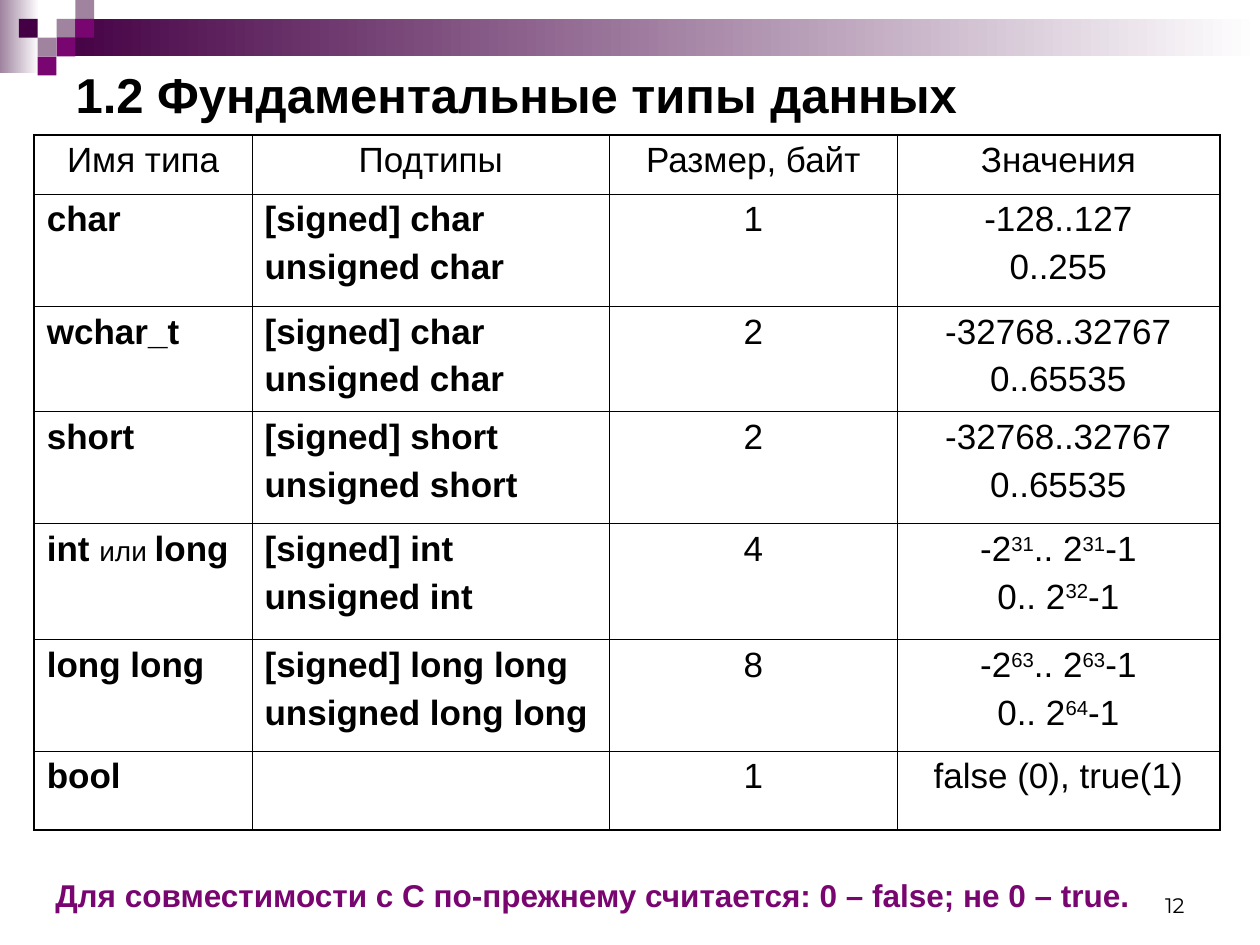
from lxml import etree
from pptx import Presentation
from pptx import util as u
from pptx.dml.color import RGBColor
from pptx.enum import shapes, text
from pptx.oxml.ns import qn

BLACK = RGBColor(0x00, 0x00, 0x00)
WHITE = RGBColor(0xFF, 0xFF, 0xFF)
MAUVE = RGBColor(0x9F, 0x83, 0x9F)
PURPLE = RGBColor(0x79, 0x05, 0x71)
DARK = RGBColor(0x44, 0x00, 0x44)

THIN, THICK = u.Pt(0.45), u.Pt(1.08)
SQUARE = 0.38

# Text between ^ marks is a superscript, or a small word in the first column.
ROWS = [
    (1.19, ["Имя типа"], ["Подтипы"], ["Размер, байт"], ["Значения"]),
    (2.26, ["char"], ["[signed] char", "unsigned char"], ["1"],
     ["-128..127", "0..255"]),
    (2.13, ["wchar_t"], ["[signed] char", "unsigned char"], ["2"],
     ["-32768..32767", "0..65535"]),
    (2.26, ["short"], ["[signed] short", "unsigned short"], ["2"],
     ["-32768..32767", "0..65535"]),
    (2.34, ["int ^или ^long"], ["[signed] int", "unsigned int"], ["4"],
     ["-2^31^.. 2^31^-1", "0.. 2^32^-1"]),
    (2.24, ["long long"], ["[signed] long long", "unsigned long long"], ["8"],
     ["-2^63^.. 2^63^-1", "0.. 2^64^-1"]),
    (1.6, ["bool"], [], ["1"], ["false (0), true(1)"]),
]
COLUMN_WIDTHS = [4.39, 7.21, 5.79, 6.51]


def add_run(paragraph, words, size, color=BLACK, bold=False, name="Arial"):
    run = paragraph.add_run()
    run.text = words
    run.font.color.rgb = color
    look = {"size": u.Pt(size), "bold": bold, "name": name}
    for attribute, value in look.items():
        setattr(run.font, attribute, value)
    return run


def add_block(left, top, width, height):
    block = slide.shapes.add_shape(
        shapes.MSO_SHAPE.RECTANGLE,
        u.Cm(left), u.Cm(top), u.Cm(width), u.Cm(height))
    block.shadow.inherit = False
    block.line.fill.background()
    return block


prs = Presentation()
prs.slide_width, prs.slide_height = u.Cm(25.4), u.Cm(19.05)
slide = prs.slides.add_slide(prs.slide_layouts[5])

# Header ornament: two fading bands under a pattern of squares
for box, start in [((0, 0, 0.79, 1.47), MAUVE), ((1.14, 0.38, 24.26, 0.76), DARK)]:
    fill = add_block(*box).fill
    fill.gradient()
    fill.gradient_angle = 0
    for stop, color in zip(fill.gradient_stops, (start, WHITE)):
        stop.color.rgb = color

for column, row, color in [(3, 1, MAUVE), (4, 0, MAUVE), (4, 1, PURPLE),
                           (2, 2, MAUVE), (1, 1, DARK), (3, 2, PURPLE),
                           (2, 3, PURPLE)]:
    fill = add_block(column * SQUARE, row * SQUARE, SQUARE, SQUARE).fill
    fill.solid()
    fill.fore_color.rgb = color

# Title
title = slide.shapes.title
title_place = {"left": 1.27, "top": 1.27, "width": 22.86, "height": 1.24}
for attribute, value in title_place.items():
    setattr(title, attribute, u.Cm(value))
title.text_frame.auto_size = text.MSO_AUTO_SIZE.NONE
title.text_frame.vertical_anchor = text.MSO_ANCHOR.MIDDLE
heading = title.text_frame.paragraphs[0]
heading.alignment = text.PP_ALIGN.LEFT
add_run(heading, "1.2 Фундаментальные типы данных", 28, bold=True)

# Table of types
types = slide.shapes.add_table(
    len(ROWS), len(COLUMN_WIDTHS),
    u.Cm(0.69), u.Cm(2.72), u.Cm(23.9), u.Cm(14.02)).table
types.first_row = types.horz_banding = False
for column, width in zip(types.columns, COLUMN_WIDTHS):
    column.width = u.Cm(width)

last_row, last_column = len(ROWS) - 1, len(COLUMN_WIDTHS) - 1
for r, (height, *contents) in enumerate(ROWS):
    types.rows[r].height = u.Cm(height)
    for c, lines in enumerate(contents):
        cell = types.cell(r, c)
        outer_edges = {"a:lnL": c == 0, "a:lnR": c == last_column,
                       "a:lnT": r == 0, "a:lnB": r == last_row}
        properties = cell._tc.get_or_add_tcPr()
        for tag, outer in outer_edges.items():
            border = etree.SubElement(properties, qn(tag),
                                      w=str(THICK if outer else THIN))
            ink = etree.SubElement(border, qn("a:solidFill"))
            etree.SubElement(ink, qn("a:srgbClr"), val=str(BLACK))
        cell.fill.background()

        is_name = r > 0 and c < 2
        for i, line in enumerate(lines):
            frame = cell.text_frame
            paragraph = frame.add_paragraph() if i else frame.paragraphs[0]
            paragraph.space_before = u.Pt(5)
            paragraph.alignment = (text.PP_ALIGN.LEFT if is_name
                                   else text.PP_ALIGN.CENTER)
            for part, words in enumerate(line.split("^")):
                marked = part % 2 == 1
                small = marked and c == 0
                run = add_run(paragraph, words, 16 if small else 20,
                              bold=is_name and not small)
                if marked and not small:
                    run.font._element.set("baseline", "30000")

# Footnote and page number
footnote = slide.shapes.add_textbox(
    u.Cm(0.69), u.Cm(17.53), u.Cm(23.8), u.Cm(1.02)).text_frame
footnote.word_wrap = True
footnote.paragraphs[0].space_before = u.Pt(4.5)
add_run(footnote.paragraphs[0],
        " Для совместимости с С по-прежнему считается: 0 – false; не 0 – true.",
        18, PURPLE, bold=True)

page = slide.shapes.add_textbox(
    u.Cm(18.21), u.Cm(17.35), u.Cm(5.92), u.Cm(1.27)).text_frame
page.word_wrap = True
page.vertical_anchor = text.MSO_ANCHOR.BOTTOM
page.paragraphs[0].alignment = text.PP_ALIGN.RIGHT
add_run(page.paragraphs[0], "12", 12, name="Montserrat")

prs.save("out.pptx")
